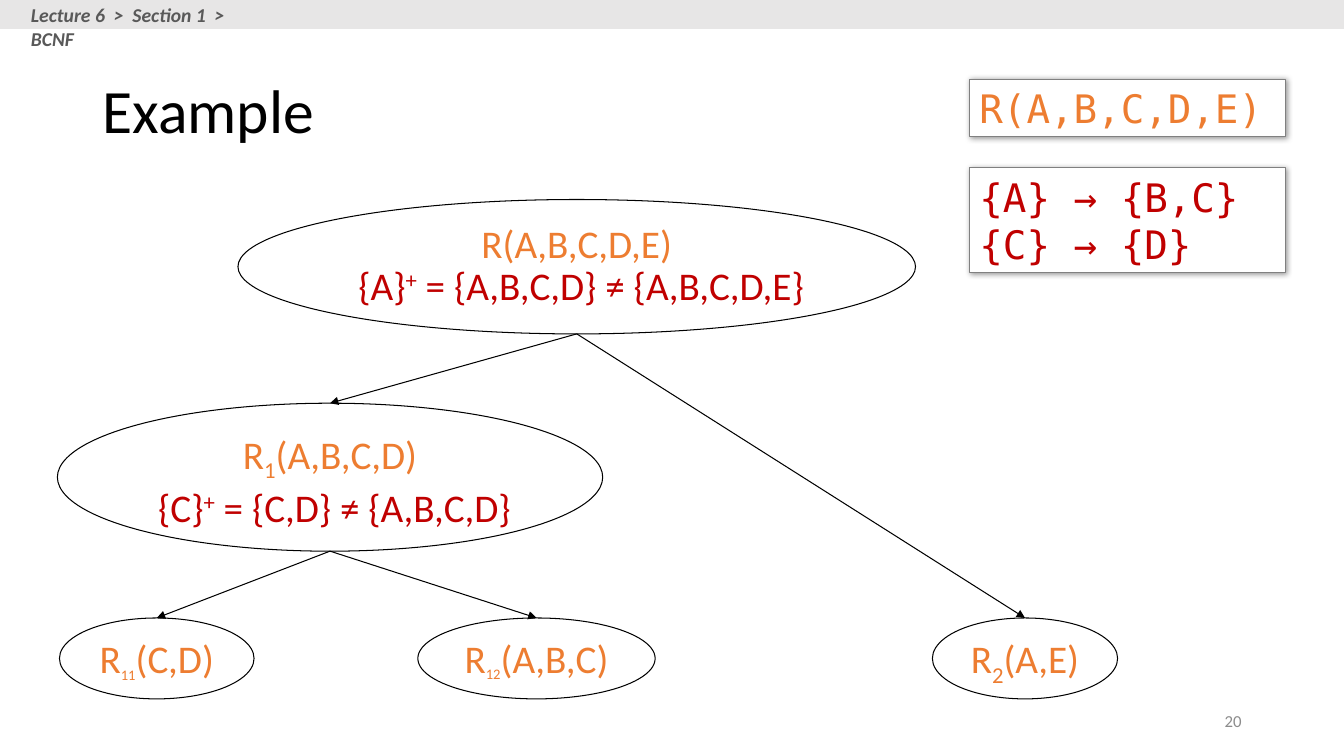
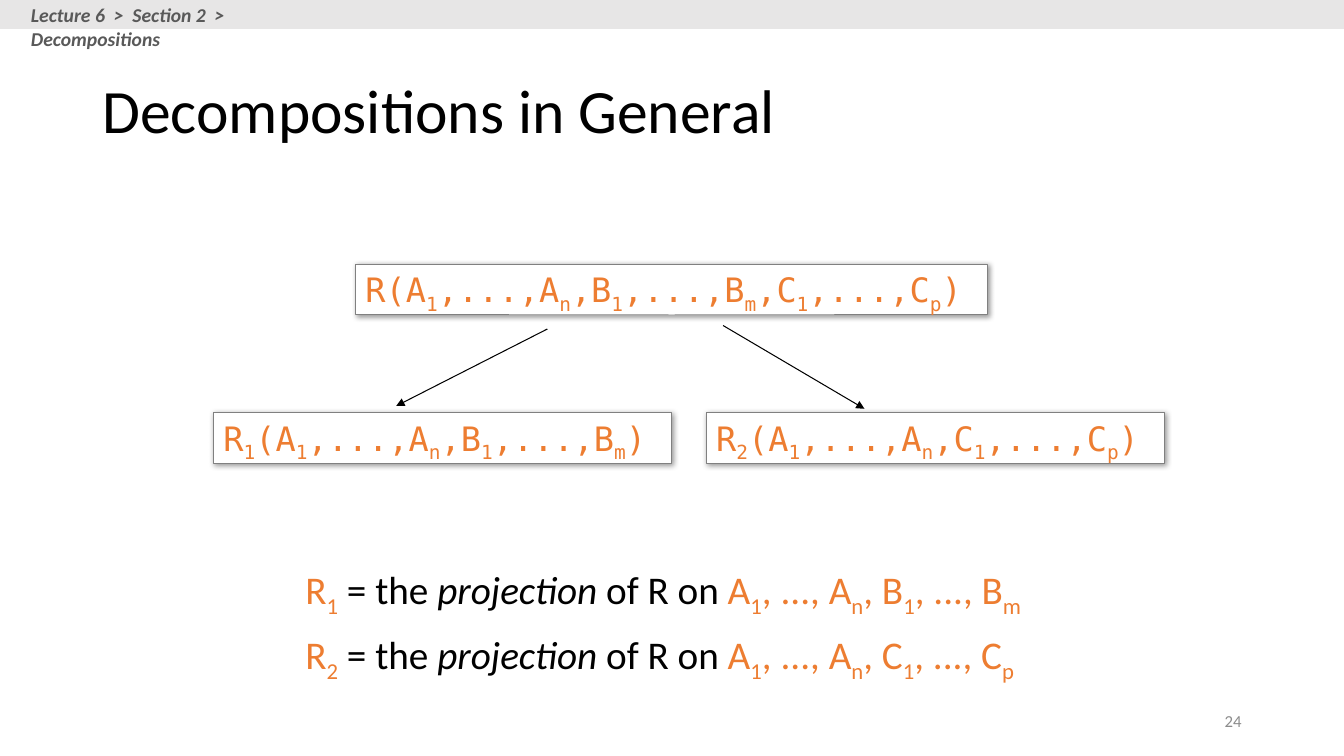
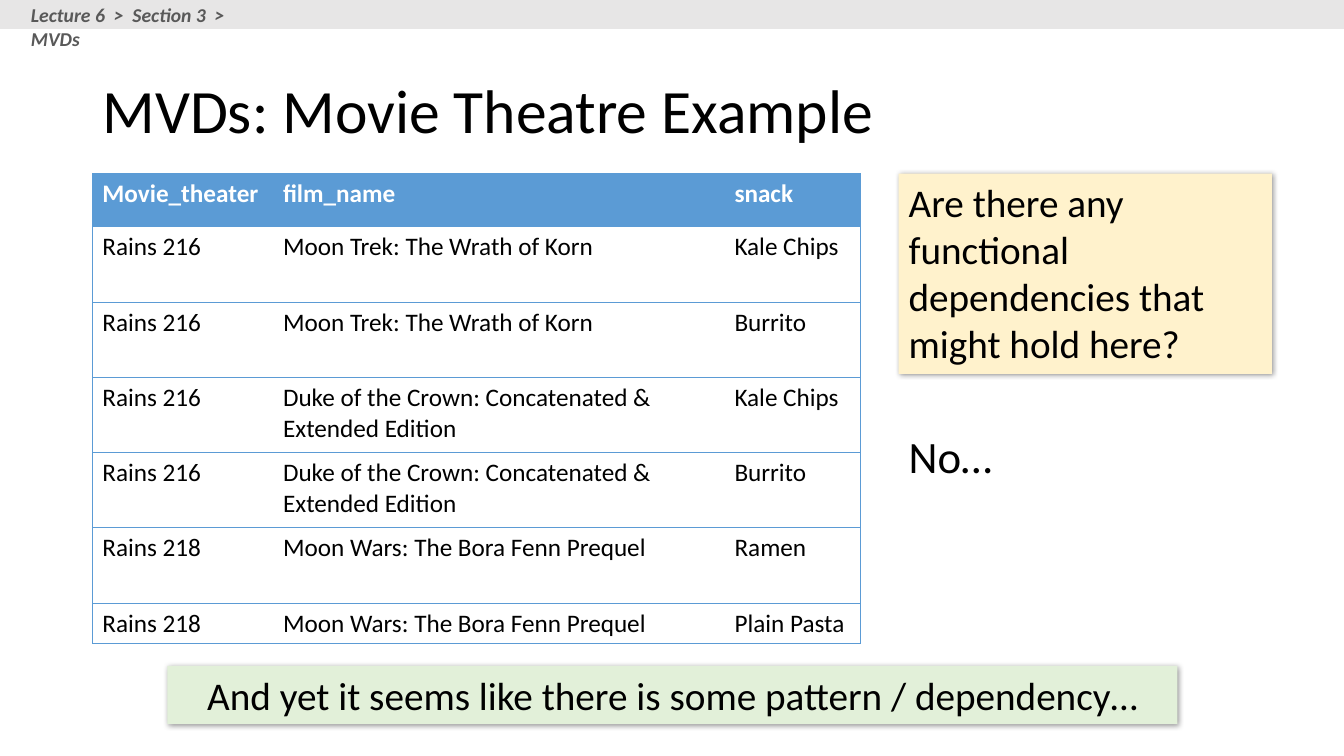
"""Build three lecture slides on BCNF, decompositions and multivalued dependencies."""
from dataclasses import dataclass

from lxml import etree
from pptx import Presentation
from pptx.dml.color import RGBColor
from pptx.enum import shapes, text
from pptx.oxml import parse_xml
from pptx.oxml.ns import nsdecls, qn
from pptx.util import Pt


@dataclass(frozen=True)
class Theme:
    body: str = "Calibri"
    mono: str = "DejaVu Sans Mono"
    black: str = "000000"
    white: str = "FFFFFF"
    orange: str = "ED7D31"
    red: str = "C00000"
    band: str = "E7E6E6"
    crumb: str = "595959"
    number: str = "8C8C8C"
    frame: str = "808080"
    blue: str = "5B9BD5"
    cream: str = "FFF2CC"
    green: str = "E2F0D9"
    title_size: int = 44
    answer_size: int = 32
    text_size: int = 28
    schema_size: int = 24
    table_size: int = 18
    index_size: int = 18
    crumb_size: int = 14
    number_size: int = 12


T = Theme()
RECT, OVAL = shapes.MSO_SHAPE.RECTANGLE, shapes.MSO_SHAPE.OVAL
LEFT, CENTER, RIGHT = text.PP_ALIGN.LEFT, text.PP_ALIGN.CENTER, text.PP_ALIGN.RIGHT
TOP, MIDDLE = text.MSO_ANCHOR.TOP, text.MSO_ANCHOR.MIDDLE
BASELINES = {"_": "-25000", "^": "30000"}


def box(s, kind, at, fill=None, line=None, shadow=False, align=LEFT):
    at = [Pt(v) for v in at]
    if kind is None:
        sp = s.shapes.add_textbox(*at)
    else:
        sp = s.shapes.add_shape(kind, *at)
        sp.shadow.inherit = False
        if fill:
            sp.fill.solid()
            sp.fill.fore_color.rgb = RGBColor.from_string(fill)
        else:
            sp.fill.background()
        if line:
            sp.line.color.rgb = RGBColor.from_string(line)
            sp.line.width = Pt(0.75)
        else:
            sp.line.fill.background()
    if shadow:
        sp._element.spPr.find(qn("a:effectLst")).append(parse_xml(
            f'<a:outerShdw {nsdecls("a")} blurRad="{Pt(4)}" dist="{Pt(1)}" dir="2700000" '
            f'algn="tl" rotWithShape="0"><a:srgbClr val="{T.black}">'
            '<a:alpha val="40000"/></a:srgbClr></a:outerShdw>'))
    tf = sp.text_frame
    tf.word_wrap = True
    tf.vertical_anchor = TOP
    tf.paragraphs[0].alignment = align
    return sp


def write(p, marked, size, color, font=T.body, index_size=None):
    """Add runs split at bars; a leading _, ^ or * means subscript, superscript or italic."""
    for part in marked.split("|"):
        mark = part[0] if part[0] in "_^*" else ""
        r = p.add_run()
        r.text = part[len(mark):]
        r.font.name = font
        r.font.size = Pt(index_size if mark == "_" and index_size else size)
        r.font.color.rgb = RGBColor.from_string(color)
        if mark == "*":
            r.font.italic = True
        elif mark:
            r._r.get_or_add_rPr().set("baseline", BASELINES[mark])


prs = Presentation()
prs.slide_width, prs.slide_height = Pt(960), Pt(540)

slides = []
for title, section, number in [
    ("Example", "Section 1  >  BCNF", "20"),
    ("Decompositions in General", "Section 2  >  Decompositions", "24"),
    ("MVDs: Movie Theatre Example", "Section 3  >  MVDs", None),
]:
    s = prs.slides.add_slide(prs.slide_layouts[5])
    slides.append(s)
    sp = s.shapes.title
    sp.left, sp.top, sp.width, sp.height = Pt(66), Pt(28.8), Pt(828), Pt(104.4)
    tf = sp.text_frame
    tf.vertical_anchor = MIDDLE
    p = tf.paragraphs[0]
    p.alignment, p.line_spacing = LEFT, 0.9
    write(p, title, T.title_size, T.black)

    box(s, RECT, (0, 0, 960, 20.7), T.band)
    p = box(s, None, (15, -1.4, 165, 42)).text_frame.paragraphs[0]
    write(p, f"Lecture 6  >  {section}", T.crumb_size, T.crumb)
    p.runs[0].font.bold = p.runs[0].font.italic = True
    if number:
        sp = box(s, None, (678, 500.5, 216, 28.8), align=RIGHT)
        sp.text_frame.vertical_anchor = MIDDLE
        write(sp.text_frame.paragraphs[0], number, T.number_size, T.number)

example, general, movies = slides
arrows = []

nodes = {}
for name, at, schema, closure in [
    ("R", (170, 142.5, 484, 96), "R(A,B,C,D,E)", " {A}|^+| = {A,B,C,D} ≠ {A,B,C,D,E}"),
    ("R1", (41, 288, 389.5, 105.7), "R|_1|(A,B,C,D)", " {C}|^+| = {C,D} ≠ {A,B,C,D}"),
    ("R2", (666, 441.4, 132.3, 57.8), "R|_2|(A,E)", None),
    ("R11", (42.5, 441.4, 139, 57.8), "R|_11|(C,D)", None),
    ("R12", (298.5, 441.4, 169.5, 57.8), "R|_12|(A,B,C)", None),
]:
    sp = nodes[name] = box(example, OVAL, at, line=T.black, align=CENTER)
    tf = sp.text_frame
    tf.word_wrap = False
    p = tf.paragraphs[0]
    write(p, schema, T.text_size, T.orange, index_size=T.index_size if len(name) == 3 else None)
    if closure:
        p.add_line_break()
        write(p, closure, T.text_size, T.red)
    if name == "R":
        p.line_spacing = 0.9
    elif name == "R12":
        tf.vertical_anchor = MIDDLE

for parent, child in [("R", "R1"), ("R", "R2"), ("R1", "R11"), ("R1", "R12")]:
    arrow = example.shapes.add_connector(shapes.MSO_CONNECTOR.STRAIGHT, 0, 0, 0, 0)
    arrow.begin_connect(nodes[parent], 2)
    arrow._element.nvCxnSpPr.cNvCxnSpPr.stCxn.idx = 4
    arrow.end_connect(nodes[child], 0)
    arrows.append(arrow)

for top, height, color, lines in [
    (56.5, 41, T.orange, ["R(A,B,C,D,E)"]),
    (120, 75, T.red, ["{A} → {B,C}", "{C} → {D}"]),
]:
    tf = box(example, RECT, (692.5, top, 225.5, height), T.white, T.frame, True).text_frame
    for i, line in enumerate(lines):
        p = tf.add_paragraph() if i else tf.paragraphs[0]
        write(p, line, T.text_size, color, T.mono)

for at, schema in [
    ((254, 188.7, 451.5, 36.3), "R(A|_1|,...,A|_n|,B|_1|,...,B|_m|,C|_1|,...,C|_p|)"),
    ((152.5, 294.7, 327, 36.3), "R|_1|(A|_1|,...,A|_n|,B|_1|,...,B|_m|)"),
    ((504.5, 294.7, 327, 36.3), "R|_2|(A|_1|,...,A|_n|,C|_1|,...,C|_p|)"),
]:
    p = box(general, RECT, at, T.white, T.frame, True).text_frame.paragraphs[0]
    write(p, schema, T.schema_size, T.orange, T.mono)

for ends in [(391, 235, 283, 290), (516.5, 232.5, 617.5, 292)]:
    arrows.append(general.shapes.add_connector(
        shapes.MSO_CONNECTOR.STRAIGHT, *[Pt(v) for v in ends]))

for top, index, attribute, last in [(400.5, 1, "B", "m"), (447, 2, "C", "p")]:
    p = box(general, None, (211, top, 540, 41)).text_frame.paragraphs[0]
    write(p, f"R|_{index}", T.text_size, T.orange)
    write(p, " = the |*projection| of R on ", T.text_size, T.black)
    write(p, f"A|_1|, ..., A|_n|, {attribute}|_1|, ..., {attribute}|_{last}",
          T.text_size, T.orange)

for arrow in arrows:
    arrow.line.color.rgb = RGBColor.from_string(T.black)
    arrow.line.width = Pt(0.75)
    etree.SubElement(arrow.line._get_or_add_ln(), qn("a:tailEnd"), type="triangle")
    etree.SubElement(arrow._element.spPr, qn("a:effectLst"))

rows = [
    ("Movie_theater", "film_name", "snack"),
    ("Rains 216", "Moon Trek: The Wrath of Korn", "Kale Chips"),
    ("Rains 216", "Moon Trek: The Wrath of Korn", "Burrito"),
    ("Rains 216", "Duke of the Crown: Concatenated & Extended Edition", "Kale Chips"),
    ("Rains 216", "Duke of the Crown: Concatenated & Extended Edition", "Burrito"),
    ("Rains 218", "Moon Wars: The Bora Fenn Prequel", "Ramen"),
    ("Rains 218", "Moon Wars: The Bora Fenn Prequel", "Plain Pasta"),
]
widths = [129, 322.5, 97]
heights = [38] + [53.75] * 5 + [29]
frame = movies.shapes.add_table(
    len(rows), len(widths), Pt(66), Pt(124), Pt(sum(widths)), Pt(sum(heights)))
table = frame.table
table._tbl.tblPr.find(qn("a:tableStyleId")).text = "{2D5ABB26-0587-4C30-8999-92F81FD0307C}"
table.horz_banding = False
for column, width in zip(table.columns, widths):
    column.width = Pt(width)
for i, (row, height) in enumerate(zip(rows, heights)):
    table.rows[i].height = Pt(height)
    for j, value in enumerate(row):
        cell = table.cell(i, j)
        cell.fill.solid()
        cell.fill.fore_color.rgb = RGBColor.from_string(T.white if i else T.blue)
        p = cell.text_frame.paragraphs[0]
        write(p, value, T.table_size, T.black if i else T.white)
        p.runs[0].font.bold = i == 0
        sides = ["L"] * (j == 0) + ["R"] * (j == len(row) - 1) + ["T", "B"]
        for k, side in enumerate(sides):
            cell._tc.get_or_add_tcPr().insert(k, parse_xml(
                f'<a:ln{side} {nsdecls("a")} w="{Pt(0.5)}"><a:solidFill>'
                f'<a:srgbClr val="{T.blue}"/></a:solidFill></a:ln{side}>'))

for kind, at, fill, align, size, words in [
    (RECT, (642, 124, 266.5, 143), T.cream, LEFT, T.text_size,
     "Are there any functional dependencies that might hold here?"),
    (RECT, (119.5, 475.7, 721.5, 41.3), T.green, CENTER, T.text_size,
     "And yet it seems like there is some pattern / dependency…"),
    (None, (642, 302.5, 100, 46), None, LEFT, T.answer_size, "No…"),
]:
    sp = box(movies, kind, at, fill, shadow=kind is not None, align=align)
    write(sp.text_frame.paragraphs[0], words, size, T.black)

prs.save("out.pptx")
